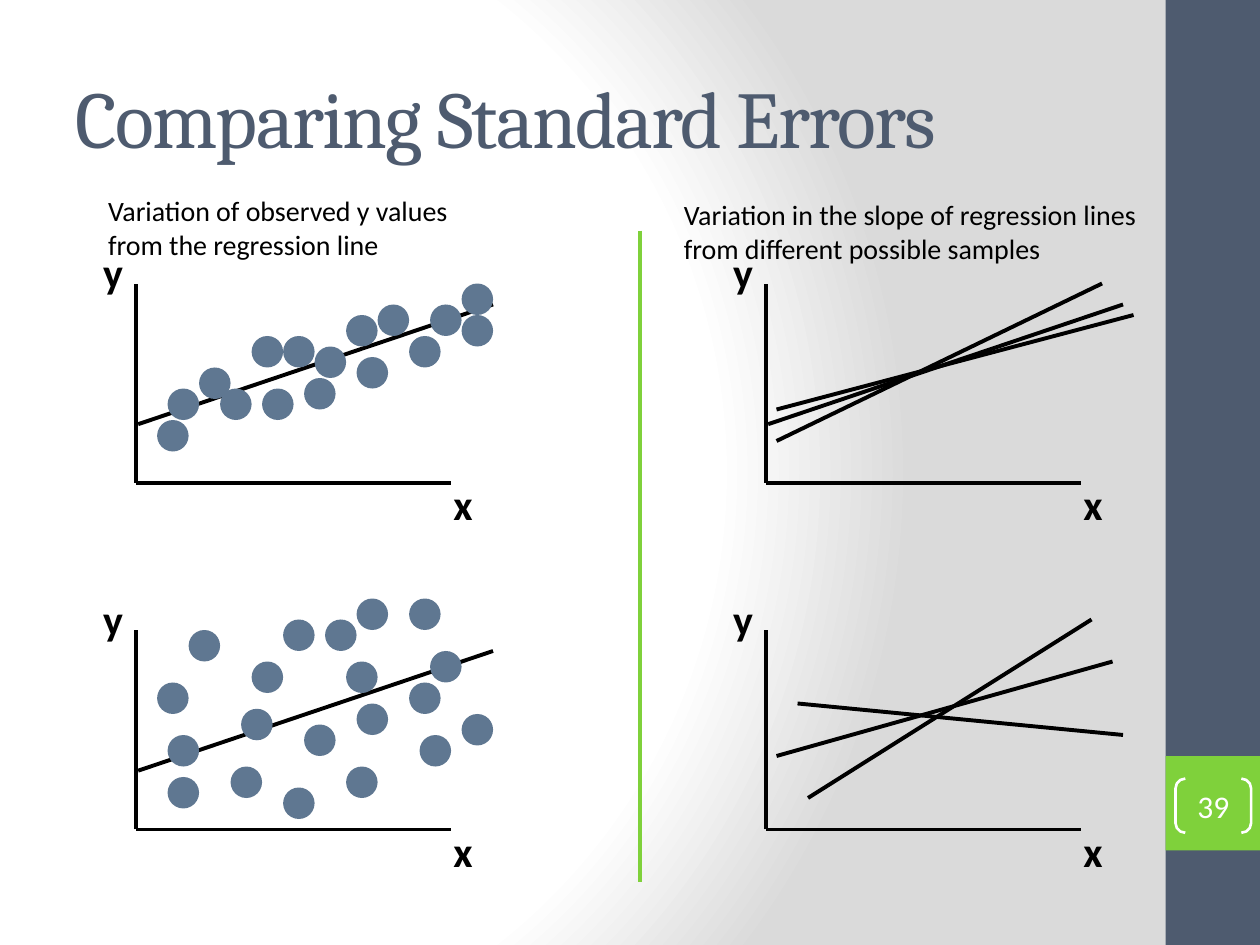
from dataclasses import dataclass

from lxml import etree
from pptx import Presentation
from pptx.dml.color import RGBColor
from pptx.enum.shapes import MSO_CONNECTOR, MSO_SHAPE
from pptx.enum.text import MSO_ANCHOR, PP_ALIGN
from pptx.oxml import parse_xml
from pptx.oxml.ns import nsdecls, qn
from pptx.util import Inches, Pt


@dataclass(frozen=True)
class Theme:
    navy: str = "4E5B6F"
    green: str = "7FD13B"
    dot: str = "5F7791"
    black: str = "000000"
    white: str = "FFFFFF"
    grey: str = "DADADA"
    heading_font: str = "Cambria"
    body_font: str = "Calibri"
    title_size: float = 46
    axis_size: float = 24
    number_size: float = 18
    caption_size: float = 16
    axis_width: float = 2
    line_width: float = 2.25
    bracket_width: float = 1.5


THEME = Theme()
GRID = 1 / 12  # plot contents sit on a grid of twelfths of an inch
DOT_SIZE = 3
AXIS_LENGTHS = (30, 19)
TREND = ((0.2, 13.4), (34, 2))

TIGHT_DOTS = [
    (2, 13), (3, 10), (31, 0), (28, 2), (8, 10), (26, 5), (23, 2), (6, 8),
    (11, 5), (21, 7), (16, 9), (12, 10), (17, 6), (20, 3), (14, 5), (31, 3),
]
WIDE_DOTS = [
    (3, 14), (3, 10), (26, -3), (28, 2), (9, 13), (26, 5), (20, 13),
    (21, -3), (14, -1), (2, 5), (5, 0), (10, 7.5), (21, 7), (16, 9),
    (14, 15), (31, 8), (20, 3), (18, -1), (11, 3), (27, 10),
]
SIMILAR_SLOPES = [TREND, ((1, 12), (35, 3)), ((1, 15), (32, 0))]
VARIED_SLOPES = [((4, 16), (31, -1)), ((3, 7), (34, 10)), ((1, 12), (33, 3))]

# Column and row of each plot, with its lines and dots
PLOTS = [
    (0, 0, [TREND], TIGHT_DOTS),
    (0, 1, [TREND], WIDE_DOTS),
    (1, 0, SIMILAR_SLOPES, []),
    (1, 1, VARIED_SLOPES, []),
]
CAPTIONS = [
    ((0.76, 1.49, 3.25, 0.64),
     "Variation of observed y values from the regression line"),
    ((5.33, 1.52, 3.83, 0.64),
     "Variation in the slope of regression lines from different possible samples"),
]


def rgb(color):
    return RGBColor.from_string(color)


def write(shape, text, size, color, font=THEME.body_font, bold=False):
    """Put one formatted run in the shape and return its paragraph."""
    paragraph = shape.text_frame.paragraphs[0]
    paragraph.text = text
    style = paragraph.runs[0].font
    style.name, style.size, style.bold = font, Pt(size), bold
    style.color.rgb = rgb(color)
    return paragraph


def add_text(slide, box, text, size, color=THEME.black, wrap=True, **style):
    shape = slide.shapes.add_textbox(*map(Inches, box))
    shape.text_frame.word_wrap = wrap
    write(shape, text, size, color, **style)
    return shape


def add_filled(slide, kind, box, color):
    shape = slide.shapes.add_shape(kind, *map(Inches, box))
    shape.shadow.inherit = False
    shape.fill.solid()
    shape.fill.fore_color.rgb = rgb(color)
    shape.line.fill.background()
    return shape


def add_line(slide, start, end, width, color=THEME.black):
    line = slide.shapes.add_connector(
        MSO_CONNECTOR.STRAIGHT, *map(Inches, (*start, *end)))
    line.line.color.rgb = rgb(color)
    line.line.width = Pt(width)
    etree.SubElement(line.element.spPr, qn("a:effectLst"))


def set_background(slide):
    slide.background.fill.gradient()
    gradient = slide.element.find(".//" + qn("a:gradFill"))
    stops = "".join(
        f'<a:gs pos="{position * 1000}"><a:srgbClr val="{color}"/></a:gs>'
        for position, color in [(0, THEME.white), (75, THEME.white), (100, THEME.grey)])
    gradient.getparent().replace(gradient, parse_xml(
        f'<a:gradFill rotWithShape="1" {nsdecls("a")}><a:gsLst>{stops}</a:gsLst>'
        '<a:path path="circle"><a:fillToRect l="20000" t="50000" r="100000" b="50000"/>'
        '</a:path></a:gradFill>'))


def add_sidebar(slide, left, top, width, height):
    add_filled(slide, MSO_SHAPE.RECTANGLE, (left, top, width, height), THEME.navy)
    add_filled(slide, MSO_SHAPE.RECTANGLE, (left, top + 6, width, width), THEME.green)


def add_page_number(slide, box, number):
    bracket = slide.shapes.add_shape(MSO_SHAPE.DOUBLE_BRACKET, *map(Inches, box))
    bracket.shadow.inherit = False
    bracket.adjustments[0] = 0.18
    bracket.fill.background()
    bracket.line.color.rgb = rgb(THEME.white)
    bracket.line.width = Pt(THEME.bracket_width)
    frame = bracket.text_frame
    frame.margin_left = frame.margin_right = frame.margin_top = frame.margin_bottom = 0
    frame.vertical_anchor = MSO_ANCHOR.MIDDLE
    paragraph = write(bracket, number, THEME.number_size, THEME.white)
    paragraph.alignment = PP_ALIGN.CENTER


def add_title(slide, box, text):
    title = add_text(slide, box, text, THEME.title_size, THEME.navy,
                     font=THEME.heading_font)
    title.text_frame.vertical_anchor = MSO_ANCHOR.MIDDLE
    run = title.text_frame.paragraphs[0].runs[0]
    run.font._element.set("spc", "-100")


def add_plot(slide, left, top, lines, dots):
    """Draw axes, lines and dots; left and top mark the head of the y axis."""
    def place(point):
        return left + point[0] * GRID, top + point[1] * GRID

    across, down = AXIS_LENGTHS
    corner = place((0, down))
    for end in ((0, 0), (across, down)):
        add_line(slide, corner, place(end), THEME.axis_width)
    for start, end in lines:
        add_line(slide, place(start), place(end), THEME.line_width)
    for dot in dots:
        size = DOT_SIZE * GRID
        add_filled(slide, MSO_SHAPE.OVAL, (*place(dot), size, size), THEME.dot)
    for name, x, y in (("y", -0.36, -0.34), ("x", 2.42, 1.5)):
        add_text(slide, (left + x, top + y, 0.39, 0.5), name, THEME.axis_size,
                 wrap=False, bold=True)


def main():
    presentation = Presentation()
    presentation.slide_width, presentation.slide_height = Inches(10), Inches(7.5)
    slide = presentation.slides.add_slide(presentation.slide_layouts[6])
    set_background(slide)
    add_sidebar(slide, 9.25, 0, 0.75, 7.5)
    add_title(slide, (0.5, 0.3, 8.33, 1.25), "Comparing Standard Errors")
    for column, row, lines, dots in PLOTS:
        add_plot(slide, 1.08 + 5 * column, 2.25 + 2.75 * row, lines, dots)
    for box, text in CAPTIONS:
        add_text(slide, box, text, THEME.caption_size)
    add_line(slide, (5.08, 1.83), (5.08, 7), THEME.line_width, THEME.green)
    add_page_number(slide, (9.33, 6.18, 0.6, 0.43), "39")
    presentation.save("out.pptx")


if __name__ == "__main__":
    main()
